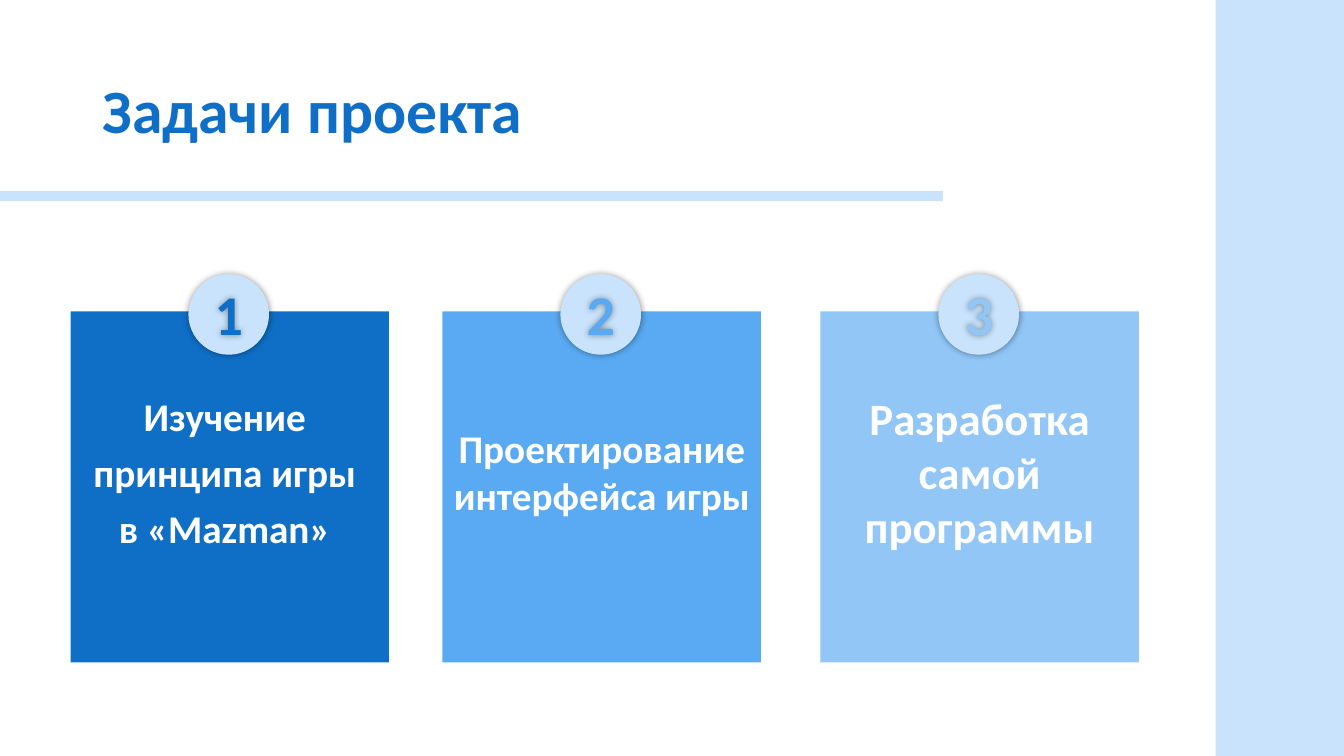
from dataclasses import dataclass

import pptx
import pptx.dml.color
import pptx.enum.shapes
import pptx.enum.text
import pptx.oxml
import pptx.oxml.ns
import pptx.util

Pt = pptx.util.Pt
RGBColor = pptx.dml.color.RGBColor
Shape = pptx.enum.shapes.MSO_SHAPE
Align = pptx.enum.text.PP_ALIGN
Anchor = pptx.enum.text.MSO_ANCHOR

FONT = "Calibri"
WHITE = RGBColor(0xFF, 0xFF, 0xFF)
PALE_BLUE = RGBColor(0xC8, 0xE3, 0xFB)
DEEP_BLUE = RGBColor(0x0F, 0x6F, 0xC6)
MID_BLUE = RGBColor(0x59, 0xAA, 0xF2)
LIGHT_BLUE = RGBColor(0x91, 0xC6, 0xF7)

SLIDE_WIDTH, SLIDE_HEIGHT = 960, 540
RAIL_LEFT = 868.3
CARD_TOP, CARD_WIDTH, CARD_HEIGHT = 222.5, 227.5, 250.6
BADGE_TOP, BADGE_SIZE, BADGE_OFFSET = 195.8, 57.6, 84.2

SHADOW = (
    f'<a:effectLst {pptx.oxml.ns.nsdecls("a")}>'
    '<a:outerShdw blurRad="63500" dist="0" dir="0">'
    '<a:srgbClr val="000000"><a:alpha val="40000"/></a:srgbClr>'
    "</a:outerShdw></a:effectLst>"
)


@dataclass(frozen=True)
class Task:
    text: str
    left: float
    color: RGBColor
    size: float
    anchor: Anchor = Anchor.MIDDLE
    top_inset: float = 3.6
    right_inset: float = 7.2
    bottom_inset: float = 25.6
    line_spacing: float = 1.0
    space_before: float = 0


TASKS = [
    Task("Изучение\nпринципа игры\nв «Mazman»", 50.4, DEEP_BLUE, 28,
         anchor=Anchor.TOP, top_inset=61.2, right_inset=14.4,
         line_spacing=0.9, space_before=10),
    Task("Проектирование интерфейса игры", 316.1, MID_BLUE, 28),
    Task("Разработка самой программы", 586.1, LIGHT_BLUE, 32),
]


def add_filled(slide, kind: Shape, left: float, top: float, width: float,
               height: float, color: RGBColor):
    figure = slide.shapes.add_shape(kind, Pt(left), Pt(top), Pt(width), Pt(height))
    figure.shadow.inherit = False
    figure.fill.solid()
    figure.fill.fore_color.rgb = color
    figure.line.fill.background()
    return figure


def set_text(frame, text: str, size: float, color: RGBColor, align: Align,
             line_spacing: float = 1.0, space_before: float = 0) -> None:
    frame.text = text
    frame.word_wrap = True
    for paragraph in frame.paragraphs:
        paragraph.alignment = align
        paragraph.line_spacing = line_spacing
        paragraph.space_before = Pt(space_before)
        for run in paragraph.runs:
            run.font.name = FONT
            run.font.size = Pt(size)
            run.font.bold = True
            run.font.color.rgb = color


def add_glow(figure) -> None:
    figure.shadow.inherit = False
    properties = figure._element.spPr
    properties.replace(properties.find(pptx.oxml.ns.qn("a:effectLst")),
                       pptx.oxml.parse_xml(SHADOW))


def add_task(slide, number: int, task: Task) -> None:
    card = add_filled(slide, Shape.RECTANGLE, task.left, CARD_TOP,
                      CARD_WIDTH, CARD_HEIGHT, task.color)
    wording = card.text_frame
    wording.vertical_anchor = task.anchor
    wording.margin_top = Pt(task.top_inset)
    wording.margin_right = Pt(task.right_inset)
    wording.margin_bottom = Pt(task.bottom_inset)
    set_text(wording, task.text, task.size, WHITE, Align.CENTER,
             task.line_spacing, task.space_before)

    badge_left = task.left + BADGE_OFFSET
    badge = add_filled(slide, Shape.OVAL, badge_left, BADGE_TOP,
                       BADGE_SIZE, BADGE_SIZE, PALE_BLUE)
    add_glow(badge)
    numeral = slide.shapes.add_textbox(Pt(badge_left), Pt(BADGE_TOP),
                                       Pt(BADGE_SIZE), Pt(BADGE_SIZE))
    add_glow(numeral)
    set_text(numeral.text_frame, str(number), 40, task.color, Align.CENTER)


def add_title(slide) -> None:
    title = slide.shapes.title
    title.left, title.top = Pt(66.2), Pt(28.8)
    title.width, title.height = Pt(828), Pt(104.4)
    title.text_frame.auto_size = pptx.enum.text.MSO_AUTO_SIZE.NONE
    title.text_frame.vertical_anchor = Anchor.MIDDLE
    set_text(title.text_frame, "Задачи проекта", 44, DEEP_BLUE, Align.LEFT, 0.9)


def main() -> None:
    presentation = pptx.Presentation()
    presentation.slide_width = Pt(SLIDE_WIDTH)
    presentation.slide_height = Pt(SLIDE_HEIGHT)
    slide = presentation.slides.add_slide(presentation.slide_layouts[5])
    add_title(slide)
    add_filled(slide, Shape.RECTANGLE, RAIL_LEFT, 0,
               SLIDE_WIDTH - RAIL_LEFT, SLIDE_HEIGHT, PALE_BLUE)
    add_filled(slide, Shape.RECTANGLE, 0, 136.5, 673.5, 7.2, PALE_BLUE)
    for number, task in enumerate(TASKS, start=1):
        add_task(slide, number, task)
    presentation.save("out.pptx")


if __name__ == "__main__":
    main()
